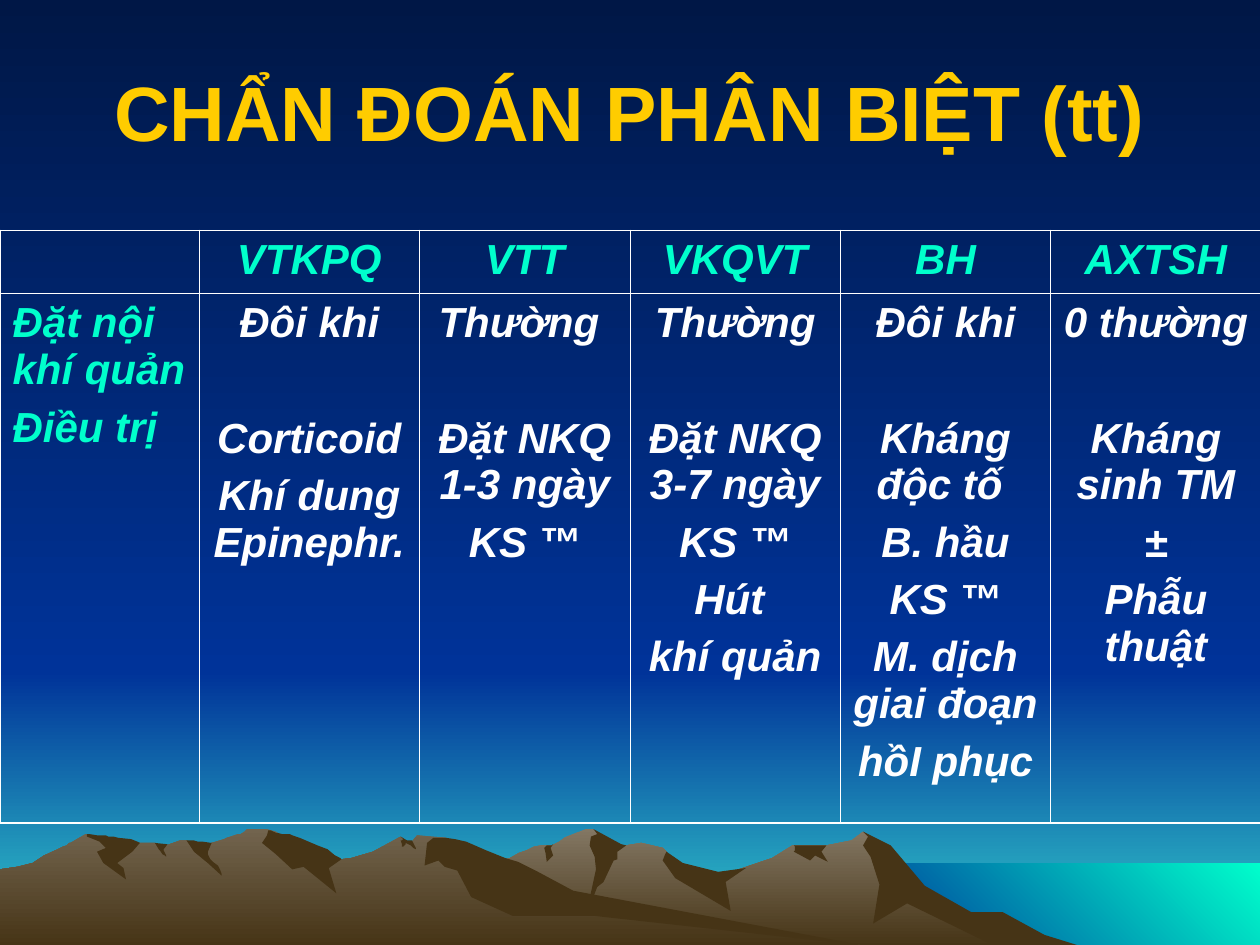
from lxml import etree
from pptx import Presentation
from pptx.dml.color import RGBColor
from pptx.enum.text import MSO_ANCHOR, PP_ALIGN
from pptx.oxml.ns import qn
from pptx.util import Inches, Pt

LEFT, CENTER = PP_ALIGN.LEFT, PP_ALIGN.CENTER
MIDDLE = MSO_ANCHOR.MIDDLE

COLORS = {
    "night": "001746",
    "blue": "003399",
    "teal": "33CCCC",
    "aqua": "00FFCC",
    "stone": "837763",
    "rock": "72644E",
    "shade": "463416",
    "gold": "FFCC00",
    "white": "FFFFFF",
}

SKY = ("night", "blue")
DOWN, SLANT = 270, 225

FRONT = (
    "690,751 689,751 667,748 432,712 354,665 331,663 327,668 323,668 318,664 "
    "296,676 279,681 271,682 260,676 236,681 223,663 222,662 219,660 215,659 "
    "212,658 198,658 196,658 195,659 194,660 191,662 189,662 186,663 183,664 "
    "180,665 178,666 168,669 160,671 148,667 143,667 132,671 128,671 123,669 "
    "111,669 94,671 68,662 56,669 55,669 53,671 50,672 46,674 35,679 26,685 "
    "14,688 0,690 0,751"
)
BACK = (
    "802,740 778,727 764,723 723,698 702,671 685,660 676,667 656,671 629,671 "
    "613,681 566,697 536,690 529,676 526,673 509,669 497,671 486,673 474,661 "
    "471,658 465,658 450,664 448,665 444,668 438,671 430,671 424,672 418,675 "
    "412,677 405,681 399,683 395,684 394,685 355,698 327,709 277,739 258,751 "
    "821,751"
)
BACK_SHADES = [
    "796,724 771,724 734,703 707,671 685,660 689,664 685,671 691,680 698,702 "
    "693,733 720,717 792,752 858,751 829,742",
    "471,658 474,662 469,664 468,671 472,680 473,690 465,727 474,704 479,700 "
    "487,683 490,682 490,676 497,671 493,670",
    "529,676 528,678 526,683 536,697 580,723 576,700 592,689 570,692 542,685",
    "650,671 630,671 631,672 631,675 630,676 643,683 647,679 657,684 652,676 "
    "656,671",
    "433,677 432,673 434,671 438,671 439,670 437,673 439,679 434,684",
]
FRONT_SHADES = [
    "212,663 208,669 219,678 232,690 241,688 267,709 261,689 271,682 270,681 "
    "266,679 260,674 252,671 245,668 238,665 232,663 230,662 226,662 224,662 "
    "220,661 219,661 217,660 215,659 213,659",
    "370,668 361,666 354,665 344,665 339,669 337,687 348,683 353,688 363,691 "
    "374,712 407,727 472,727 690,751 683,750 455,707 427,692 411,684 401,681 "
    "386,675",
    "318,667 319,667 320,666 319,665 318,664 323,667 327,667 328,669 329,671 "
    "330,673 330,674 328,673 326,671 322,669 322,670 321,671 320,672 319,672 "
    "319,670",
    "154,667 157,668 161,668 168,669 165,676 165,678 166,680 167,682 169,684 "
    "173,687 175,691 176,694 176,695 165,685 154,676 148,667",
    "133,670 130,674 130,675 131,677 132,679 132,680 131,679 129,678 127,675 "
    "126,674 123,669",
    "109,668 111,669 105,676 93,685 98,689 100,698 82,685 77,676 84,673 79,668 "
    "69,664 69,662 71,662 77,663 84,663 86,664 90,664 94,665 104,666",
]

HEADS = ["", "VTKPQ", "VTT", "VKQVT", "BH", "AXTSH"]
CARE = [
    ["Đặt nội khí quản", "Điều trị"],
    ["Đôi khi", "Corticoid", "Khí dung Epinephr."],
    ["Thường ", "Đặt NKQ 1-3 ngày", "KS ™"],
    ["Thường", "Đặt NKQ 3-7 ngày", "KS ™", "Hút ", "khí quản"],
    ["Đôi khi", "Kháng độc tố ", "B. hầu", "KS ™", "M. dịch giai đoạn", "hồI phục"],
    ["0 thường", "Kháng sinh TM", "±", "Phẫu thuật"],
]


class Deck:
    font = "Arial"
    thin, thick = 0.45, 1.08
    gap, wide_gap = 6, 39

    def __init__(self, slide):
        self.slide = slide

    def color(self, name):
        return RGBColor.from_string(COLORS[name])

    def blend(self, fill, names, angle=DOWN):
        fill.gradient()
        fill.gradient_angle = angle
        for stop, name in zip(fill.gradient_stops, names):
            stop.color.rgb = self.color(name)

    def shape(self, points, paint, angle=DOWN):
        start, *rest = [tuple(map(int, pair.split(","))) for pair in points.split()]
        pen = self.slide.shapes.build_freeform(*start, scale=Inches(0.01))
        pen.add_line_segments(rest, close=True)
        form = pen.convert_to_shape()
        form.shadow.inherit = False
        form.line.fill.background()
        if isinstance(paint, tuple):
            self.blend(form.fill, paint, angle)
        else:
            form.fill.solid()
            form.fill.fore_color.rgb = self.color(paint)

    def style(self, para, size, color, align, slant=False):
        para.alignment = align
        for run in para.runs:
            font = run.font
            font.name, font.size = self.font, Pt(size)
            font.bold, font.italic = True, slant
            font.color.rgb = self.color(color)

    def title(self, text, left, top, width, height):
        box = self.slide.shapes.add_textbox(
            Inches(left), Inches(top), Inches(width), Inches(height))
        frame = box.text_frame
        frame.word_wrap = True
        frame.vertical_anchor = MIDDLE
        frame.text = text
        self.style(frame.paragraphs[0], 44, "gold", CENTER)

    def edges(self, cell, outer):
        props = cell._tc.get_or_add_tcPr()
        for spot, side in enumerate("LRTB"):
            width = self.thick if side in outer else self.thin
            line = etree.Element(qn("a:ln" + side), w=str(Pt(width)))
            fill = etree.SubElement(line, qn("a:solidFill"))
            etree.SubElement(fill, qn("a:srgbClr"), val=COLORS["white"])
            props.insert(spot, line)

    def cell(self, cell, lines, color, align, split):
        cell.fill.background()
        cell.text_frame.text = "\n".join(lines)
        for spot, para in enumerate(cell.text_frame.paragraphs):
            if spot:
                para.space_before = Pt(self.wide_gap if split and spot == 1 else self.gap)
            self.style(para, 24, color, align, True)

    def table(self, rows, left, top, widths, heights):
        grid = self.slide.shapes.add_table(
            len(rows), len(widths), Inches(left), Inches(top),
            Inches(sum(widths)), Inches(sum(heights))).table
        grid.first_row = grid.horz_banding = False
        for col, width in zip(grid.columns, widths):
            col.width = Inches(width)
        for row, height in zip(grid.rows, heights):
            row.height = Inches(height)
        for r, row in enumerate(rows):
            for c, lines in enumerate(row):
                body = r > 0 and c > 0
                cell = grid.cell(r, c)
                self.cell(cell, lines, "white" if body else "aqua",
                          CENTER if c else LEFT, body)
                outer = "B" if r == len(rows) - 1 else "T"
                outer += {0: "L", len(row) - 1: "R"}.get(c, "")
                self.edges(cell, outer)


def main():
    prs = Presentation()
    prs.slide_width, prs.slide_height = Inches(10), Inches(7.5)
    slide = prs.slides.add_slide(prs.slide_layouts[6])
    deck = Deck(slide)
    deck.blend(slide.background.fill, SKY)
    deck.shape("1000,750 0,750 0,533 1000,533", ("blue", "teal"))
    deck.shape("1000,533 0,533 0,0 1000,0", SKY)
    deck.shape("1000,752 683,752 683,685 1000,685", ("aqua", "blue"), SLANT)
    for ridge, top, shades in ((BACK, "stone", BACK_SHADES),
                               (FRONT, "rock", FRONT_SHADES)):
        deck.shape(ridge, (top, "shade"))
        for points in shades:
            deck.shape(points, "shade")
    deck.title("CHẨN ĐOÁN PHÂN BIỆT (tt)", 0.5, 0.25, 9, 1.25)
    deck.table([[[head] for head in HEADS], CARE], 0, 1.83,
               [1.58, 1.75] + [1.67] * 4, [0.5, 4.2])
    prs.save("out.pptx")


if __name__ == "__main__":
    main()
